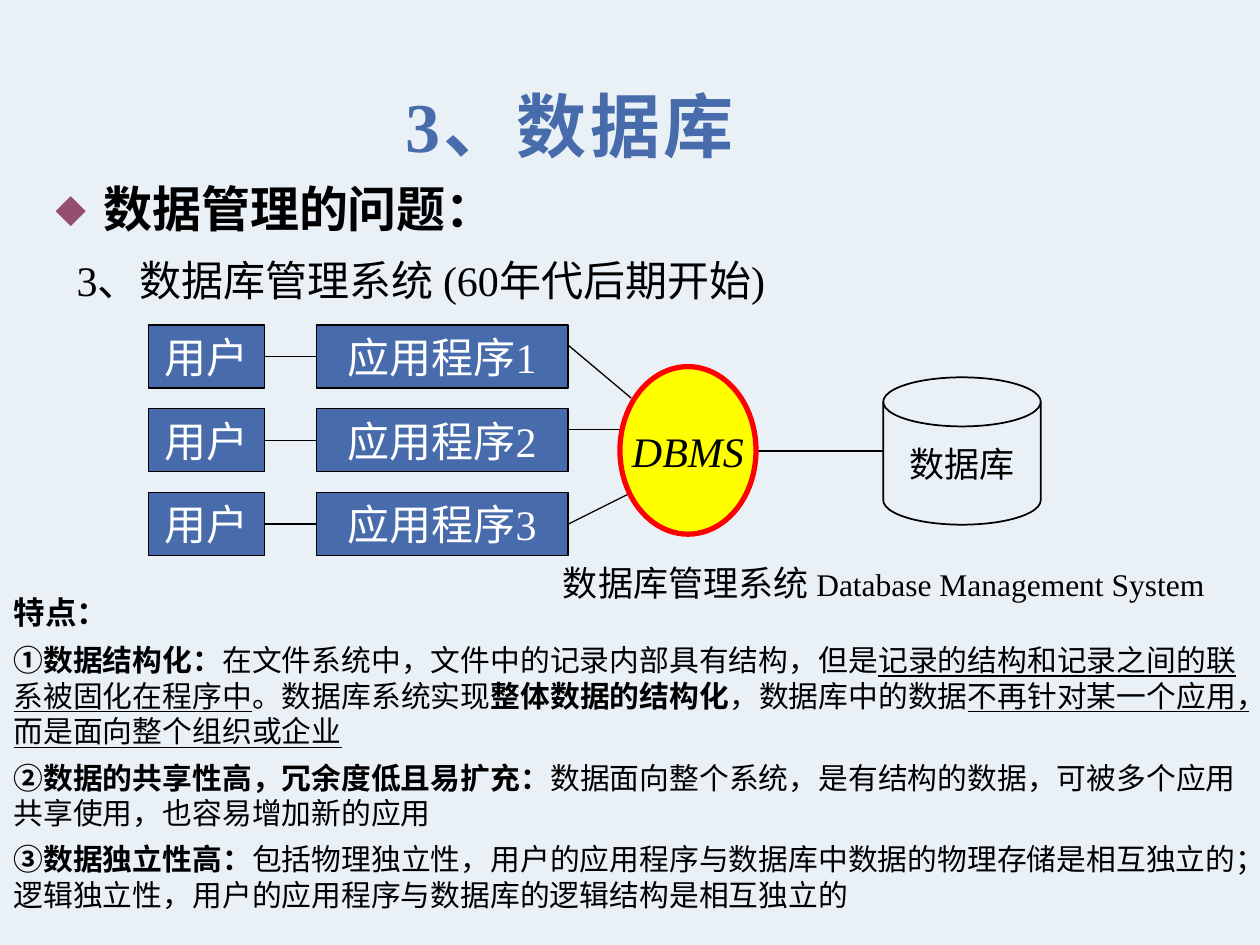
import pptx
import pptx.util
import pptx.dml.color
import pptx.enum.shapes
import pptx.enum.text
import pptx.oxml
import pptx.oxml.ns
import lxml.etree

Inches = pptx.util.Inches
Pt = pptx.util.Pt
SHAPE = pptx.enum.shapes.MSO_SHAPE
ALIGN = pptx.enum.text.PP_ALIGN
FIT = pptx.enum.text.MSO_AUTO_SIZE
FONT = "Times New Roman"
COLORS = {
    "background": "EAF1F6",
    "blue": "476BAB",
    "bullet": "954E72",
    "black": "000000",
    "white": "FFFFFF",
    "yellow": "FFFF00",
    "red": "FF0000",
}
FEATURES = [
    [("特点：", "b")],
    [("①数据结构化：", "b"),
     ("在文件系统中，文件中的记录内部具有结构，但是", ""),
     ("记录的结构和记录之间的联系被固化在程序中", "u"),
     ("。数据库系统实现", ""),
     ("整体数据的结构化", "b"),
     ("，数据库中的数据", ""),
     ("不再针对某一个应用，而是面向整个组织或企业", "u")],
    [("②数据的共享性高，冗余度低且易扩充：", "b"),
     ("数据面向整个系统，是有结构的数据，可被多个应用共享使用，也容易增加新的应用", "")],
    [("③数据独立性高：", "b"),
     ("包括物理独立性，用户的应用程序与数据库中数据的物理存储是相互独立的；"
      "逻辑独立性，用户的应用程序与数据库的逻辑结构是相互独立的", "")],
]


def rgb(name):
    return pptx.dml.color.RGBColor.from_string(COLORS[name])


def style(span, size, color="black", bold=False, italic=False, underline=False):
    font = span.font
    font.name = FONT
    font.size = Pt(size)
    font.color.rgb = rgb(color)
    font.bold = bold
    font.italic = italic
    font.underline = underline


def place(shape, box):
    shape.left, shape.top, shape.width, shape.height = map(Inches, box)


def add_title(page, box):
    title = page.shapes.title
    place(title, box)
    title.text_frame.text = "3、数据库"
    title.text_frame.auto_size = FIT.NONE
    title.text_frame.vertical_anchor = pptx.enum.text.MSO_ANCHOR.MIDDLE
    para = title.text_frame.paragraphs[0]
    para.alignment = ALIGN.CENTER
    span = para.runs[0]
    style(span, 40, "blue", bold=True)
    span._r.get_or_add_rPr().set("spc", "200")


def add_heading(page, box):
    body = page.placeholders[1]
    place(body, box)
    body.text_frame.text = "数据管理的问题："
    body.text_frame.auto_size = FIT.NONE
    para = body.text_frame.paragraphs[0]
    properties = para._p.get_or_add_pPr()
    properties.set("marL", str(Inches(0.38)))
    properties.set("indent", str(Inches(-0.38)))
    namespace = pptx.oxml.ns.nsdecls("a")
    for markup in (
        f'<a:buClr {namespace}><a:srgbClr val="{COLORS["bullet"]}"/></a:buClr>',
        f'<a:buSzPct {namespace} val="90000"/>',
        f'<a:buChar {namespace} char="⬥"/>',
    ):
        properties.append(pptx.oxml.parse_xml(markup))
    para.space_before = Pt(0)
    style(para.runs[0], 28, bold=True)


def add_text(page, box, paragraphs, space_after=0):
    frame = page.shapes.add_textbox(*map(Inches, box)).text_frame
    frame.word_wrap = True
    frame.auto_size = FIT.SHAPE_TO_FIT_TEXT
    for index, spans in enumerate(paragraphs):
        para = frame.add_paragraph() if index else frame.paragraphs[0]
        para.space_after = Pt(space_after)
        for text, size, marks in spans:
            span = para.add_run()
            span.text = text
            style(span, size, bold="b" in marks, underline="u" in marks)


def add_node(page, box, kind, text, size=24, fill="blue", line="black",
             line_width=0.75, color="white", italic=False):
    node = page.shapes.add_shape(kind, *map(Inches, box))
    node.shadow.inherit = False
    node.fill.solid()
    node.fill.fore_color.rgb = rgb(fill)
    node.line.color.rgb = rgb(line)
    node.line.width = Pt(line_width)
    frame = node.text_frame
    frame.text = text
    frame.word_wrap = False
    frame.vertical_anchor = pptx.enum.text.MSO_ANCHOR.MIDDLE
    frame.paragraphs[0].alignment = ALIGN.CENTER
    style(frame.paragraphs[0].runs[0], size, color, italic=italic)
    return node


def add_link(page, start, end):
    link = page.shapes.add_connector(
        pptx.enum.shapes.MSO_CONNECTOR.STRAIGHT, *map(Inches, start + end))
    link.line.color.rgb = rgb("black")
    link.line.width = Pt(0.75)
    lxml.etree.SubElement(link._element.spPr, pptx.oxml.ns.qn("a:effectLst"))
    return link


def add_diagram(page, box):
    left, top, width, height = box
    row_height, user_width, app_left, app_width = 0.5, 0.92, left + 1.33, 2
    pitch = (height - row_height) / 2
    app_right = app_left + app_width
    apps = []
    for row in range(3):
        row_top = top + row * pitch
        middle = row_top + row_height / 2
        user = add_node(page, (left, row_top, user_width, row_height),
                        SHAPE.RECTANGLE, "用户")
        app = add_node(page, (app_left, row_top, app_width, row_height),
                       SHAPE.RECTANGLE, f"应用程序{row + 1}")
        link = add_link(page, (left + user_width, middle), (app_left, middle))
        link.begin_connect(user, 3)
        link.end_connect(app, 1)
        apps.append(app)

    dbms_left, dbms_width, dbms_top, dbms_height = left + 3.74, 1.08, top + 0.33, 1.33
    disk_width, disk_height = 1.25, 1.17
    disk_left = left + width - disk_width
    center = top + 1
    add_link(page, (app_right, top + 0.16), (left + 3.83, top + 0.58))
    add_link(page, (app_right, top + 0.83), (dbms_left + 0.01, top + 0.83))
    last = add_link(page, (app_right, top + 1.58), (left + 3.83, top + 1.33))
    last.begin_connect(apps[2], 3)
    add_link(page, (dbms_left + dbms_width, center), (disk_left, center))
    add_node(page, (dbms_left, dbms_top, dbms_width, dbms_height), SHAPE.OVAL,
             "DBMS", fill="yellow", line="red", line_width=3, color="black", italic=True)
    add_node(page, (disk_left, center - disk_height / 2, disk_width, disk_height),
             SHAPE.FLOWCHART_MAGNETIC_DISK, "数据库", size=20,
             fill="background", line_width=1, color="black")


def add_features(page, box):
    paragraphs = [[(text, 17 if index else 18, marks) for text, marks in spans]
                  for index, spans in enumerate(FEATURES)]
    add_text(page, box, paragraphs, space_after=6)


def main():
    deck = pptx.Presentation()
    deck.slide_width = Inches(10)
    deck.slide_height = Inches(7.5)
    page = deck.slides.add_slide(deck.slide_layouts[1])
    page.background.fill.solid()
    page.background.fill.fore_color.rgb = rgb("background")
    add_title(page, (0.27, 0.36, 8.5, 1.25))
    add_heading(page, (0.34, 1.37, 9.34, 4.67))
    add_text(page, (0.51, 1.97, 7.79, 0.91),
             [[("3、数据库管理系统 (60年代后期开始)", 24, "")]])
    add_diagram(page, (1.18, 2.58, 7.08, 1.83))
    add_text(page, (4.37, 4.41, 5.74, 0.44),
             [[("数据库管理系统 ", 20, ""), ("Database Management System", 18, "")]])
    add_features(page, (0.01, 4.66, 10, 2.64))
    deck.save("out.pptx")


if __name__ == "__main__":
    main()
